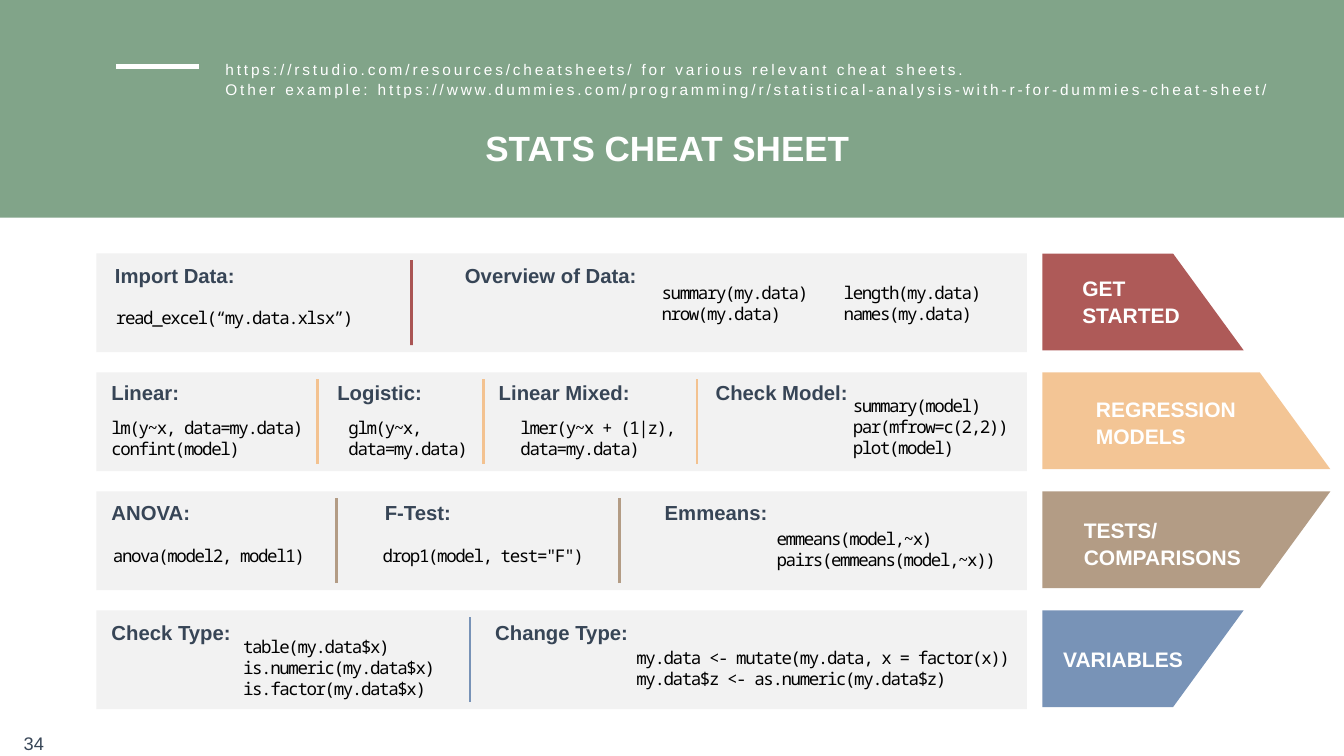
from dataclasses import dataclass
from typing import Any

from lxml import etree
from pptx import Presentation
from pptx import util as u
from pptx.dml.color import RGBColor
from pptx.enum import shapes, text
from pptx.oxml.ns import qn

GREEN = RGBColor(0x81, 0xA4, 0x89)
WHITE = RGBColor(0xFF, 0xFF, 0xFF)
BLACK = RGBColor(0, 0, 0)
NAVY = RGBColor(0x37, 0x45, 0x56)
PANEL = RGBColor(0xF2, 0xF2, 0xF2)
RED = RGBColor(0x88, 0x0C, 0x0A)
ORANGE = RGBColor(0xF3, 0xC2, 0x90)
BROWN = RGBColor(0xB3, 0x9C, 0x85)
BLUE = RGBColor(0x78, 0x93, 0xB7)

FIRST_ROW, ROW_PITCH = 5.03, 2.36


@dataclass
class Sheet:
    page: Any
    sans: str = "Arial"
    mono: str = "Noto Sans Mono"

    def opacity(self, fill, percent):
        if percent < 100:
            color = fill._xPr.find(".//" + qn("a:srgbClr"))
            etree.SubElement(color, qn("a:alpha")).set("val", str(percent * 1000))

    def paint(self, shape, color, percent=100):
        shape.shadow.inherit = False
        shape.fill.solid()
        shape.fill.fore_color.rgb = color
        self.opacity(shape.fill, percent)
        shape.line.fill.background()

    def block(self, left, top, width, height, color):
        shape = self.page.shapes.add_shape(
            shapes.MSO_SHAPE.RECTANGLE,
            u.Inches(left), u.Inches(top), u.Inches(width), u.Inches(height))
        self.paint(shape, color)

    def tab(self, top, width, color, percent, tip_at_top):
        left, height, slant = 20.67, 1.92, 1.4
        tip, short = (top, top + height) if tip_at_top else (top + height, top)
        corners = [(left + width, tip), (left + width - slant, short), (left, short)]
        builder = self.page.shapes.build_freeform(
            u.Inches(left), u.Inches(tip), scale=1.0)
        builder.add_line_segments(
            [(u.Inches(x), u.Inches(y)) for x, y in corners], close=True)
        self.paint(builder.convert_to_shape(), color, percent)

    def line(self, start, end, color, weight, percent=100):
        connector = self.page.shapes.add_connector(
            shapes.MSO_CONNECTOR.STRAIGHT, *map(u.Inches, start + end))
        connector.line.width = u.Pt(weight)
        connector.line.color.rgb = color
        self.opacity(connector.line.fill, percent)
        etree.SubElement(connector._element.spPr, qn("a:effectLst"))

    def words(self, left, top, width, height, lines, size, color, font=None,
              bold=False, tracking=0, spacing=None, middle=True, centred=False):
        box = self.page.shapes.add_textbox(
            u.Inches(left), u.Inches(top), u.Inches(width), u.Inches(height))
        frame = box.text_frame
        frame.word_wrap = True
        frame.margin_left = frame.margin_right = u.Inches(0.06)
        frame.margin_top = frame.margin_bottom = u.Inches(0.06)
        anchors = text.MSO_ANCHOR
        frame.vertical_anchor = anchors.MIDDLE if middle else anchors.TOP
        frame.text = lines
        for para in frame.paragraphs:
            para.alignment = text.PP_ALIGN.CENTER if centred else text.PP_ALIGN.LEFT
            if spacing:
                para.line_spacing = spacing
            for span in para.runs:
                span.font.name = font or self.sans
                span.font.size = u.Pt(size)
                span.font.bold = bold
                span.font.color.rgb = color
                if tracking:
                    span._r.get_or_add_rPr().set("spc", str(round(tracking * 100)))

    def heading(self, left, top, lines):
        self.words(left, top, 3.9, 0.6, lines, 29, NAVY, bold=True)

    def code(self, left, top, width, height, lines):
        self.words(left, top, width, height, lines, 25, BLACK, font=self.mono,
                   tracking=-2, spacing=u.Pt(30))

    def label(self, left, top, width, height, lines):
        self.words(left, top, width, height, lines, 30, WHITE, bold=True,
                   spacing=1.07)


ROWS = [
    dict(color=RED, percent=68, width=3.99, tip_at_top=False,
         label=(21.4, 5.42, 2.19, 1.11, "GET STARTED"), dividers=[8.16],
         heading_top=5.16,
         headings=[(2.22, "Import Data:"), (9.16, "Overview of Data:")],
         code=[(2.24, 5.83, 4.98, 0.94, "read_excel(“my.data.xlsx”)"),
               (13.06, 5.55, 3.53, 0.94, "summary(my.data)\nnrow(my.data)"),
               (16.67, 5.55, 3.69, 0.94, "length(my.data)\nnames(my.data)")]),
    dict(color=ORANGE, percent=95, width=5.71, tip_at_top=False,
         label=(21.67, 7.72, 3.05, 1.31, "REGRESSION MODELS"),
         dividers=[6.3, 9.59, 13.82], heading_top=7.48,
         headings=[(2.15, "Linear:"), (6.63, "Logistic:"),
                   (9.83, "Linear Mixed:"), (14.13, "Check Model:")],
         code=[(2.15, 8.13, 4.16, 1.14, "lm(y~x, data=my.data)\nconfint(model)"),
               (6.85, 8.13, 4.16, 1.14, "glm(y~x,\ndata=my.data)"),
               (10.26, 8.23, 3.35, 0.94, "lmer(y~x + (1|z), data=my.data)"),
               (16.85, 7.69, 3.35, 1.56,
                "summary(model)\npar(mfrow=c(2,2))\nplot(model)")]),
    dict(color=BROWN, percent=100, width=5.71, tip_at_top=True,
         label=(21.43, 10.12, 3.69, 1.31, "TESTS/COMPARISONS"),
         dividers=[6.67, 12.28], heading_top=9.87,
         headings=[(2.15, "ANOVA:"), (7.57, "F-Test:"), (13.12, "Emmeans:")],
         code=[(2.18, 10.67, 4.5, 0.72, "anova(model2, model1)"),
               (7.53, 10.67, 4.7, 0.72, 'drop1(model, test="F")'),
               (15.34, 10.43, 4.68, 0.94,
                "emmeans(model,~x)\npairs(emmeans(model,~x))")]),
    dict(color=BLUE, percent=100, width=3.99, tip_at_top=True,
         label=(21.02, 12.76, 2.7, 0.61, "VARIABLES"), dividers=[9.32],
         heading_top=12.25,
         headings=[(2.15, "Check Type:"), (9.76, "Change Type:")],
         code=[(4.76, 12.57, 4.98, 1.36,
                "table(my.data$x)\nis.numeric(my.data$x)\nis.factor(my.data$x)"),
               (12.56, 12.68, 7.8, 1.14,
                "my.data <- mutate(my.data, x = factor(x))\n"
                "my.data$z <- as.numeric(my.data$z)")]),
]


def main():
    deck = Presentation()
    deck.slide_width, deck.slide_height = u.Inches(26.65), u.Inches(15)
    sheet = Sheet(deck.slides.add_slide(deck.slide_layouts[6]))

    sheet.block(-0.03, -0.06, 26.72, 4.38, GREEN)
    sheet.words(0.41, 14.45, 0.73, 0.6, "34", 26, NAVY)
    sheet.words(8.7, 2.45, 9.07, 1.35, "STATS CHEAT SHEET", 50, WHITE,
                bold=True, middle=False, centred=True)
    sheet.words(4.41, 1.11, 22, 1.2,
                "https://rstudio.com/resources/cheatsheets/ for various relevant "
                "cheat sheets.\nOther example: https://www.dummies.com/programming/"
                "r/statistical-analysis-with-r-for-dummies-cheat-sheet/",
                22, WHITE, tracking=4.1, spacing=1.07, middle=False)
    sheet.line((2.31, 1.32), (3.94, 1.32), WHITE, 7)

    for index, row in enumerate(ROWS):
        top = FIRST_ROW + index * ROW_PITCH
        sheet.tab(top, row["width"], row["color"], row["percent"], row["tip_at_top"])
        sheet.block(1.91, top, 18.45, 1.96, PANEL)
        for x in row["dividers"]:
            percent = 68 if row["color"] == RED else 100
            sheet.line((x, top + 1.82), (x, top + 0.13), row["color"], 4, percent)
        sheet.label(*row["label"])
        for left, lines in row["headings"]:
            sheet.heading(left, row["heading_top"], lines)
        for snippet in row["code"]:
            sheet.code(*snippet)

    deck.save("out.pptx")


if __name__ == "__main__":
    main()
